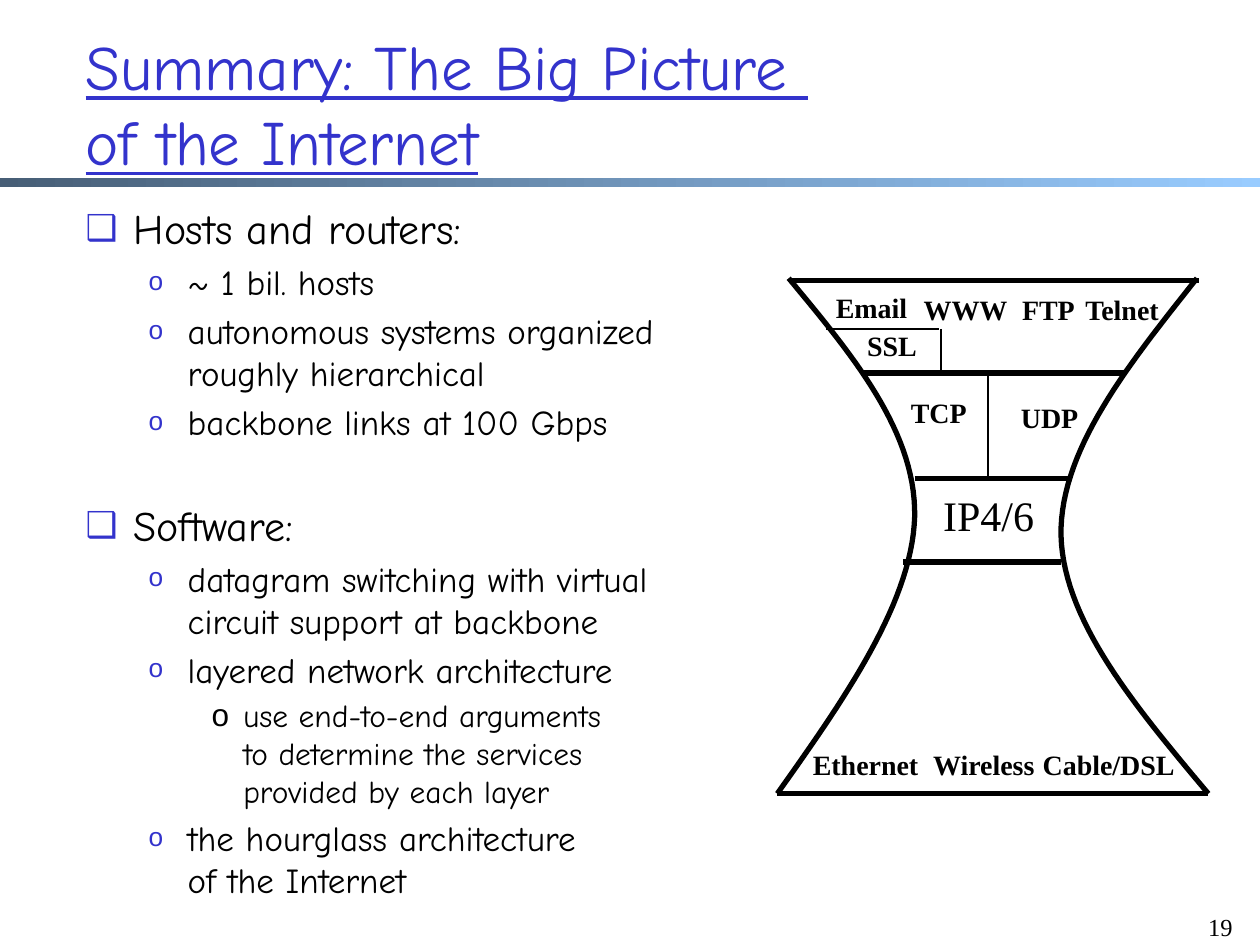
import pptx
import pptx.util
import pptx.dml.color
import pptx.enum.shapes
import pptx.enum.text
import pptx.oxml
import pptx.oxml.ns
import lxml.etree

Cm, Pt = pptx.util.Cm, pptx.util.Pt
RGB = pptx.dml.color.RGBColor
Align = pptx.enum.text.PP_ALIGN
Anchor = pptx.enum.text.MSO_ANCHOR
Shape = pptx.enum.shapes.MSO_SHAPE
qn = pptx.oxml.ns.qn

BLACK = RGB(0x00, 0x00, 0x00)
BLUE = RGB(0x33, 0x33, 0xCC)
SLATE = RGB(0x47, 0x5E, 0x76)
SKY = RGB(0x99, 0xCC, 0xFF)
HAND, ROMAN = "Comic Neue", "Times New Roman"


def write(par, text, size, font, color=BLACK, bold=False, under=False):
    """Add one run per line of text, with line breaks between."""
    for num, line in enumerate(text.split("\n")):
        if num:
            par.add_line_break()
        run = par.add_run()
        run.text = line
        run.font.size = Pt(size)
        run.font.name = font
        run.font.color.rgb = color
        run.font.bold = bold
        run.font.underline = under


def label(text, left, top, width, height, size=16, bold=True, align=Align.CENTER):
    box = slide.shapes.add_textbox(Cm(left), Cm(top), Cm(width), Cm(height))
    box.text_frame.word_wrap = False
    par = box.text_frame.paragraphs[0]
    par.alignment = align
    write(par, text, size, ROMAN, bold=bold)


deck = pptx.Presentation()
deck.slide_width, deck.slide_height = Cm(25.4), Cm(19.05)
slide = deck.slides.add_slide(deck.slide_layouts[1])

# Band under the title
band = slide.shapes.add_shape(Shape.RECTANGLE, 0, Cm(3.58), Cm(25.4), Cm(0.2))
band.shadow.inherit = False
band.line.fill.background()
band.fill.gradient()
band.fill.gradient_angle = 0
for stop, color in zip(band.fill.gradient_stops, (SLATE, SKY)):
    stop.color.rgb = color

# Title
title = slide.shapes.title
title.left, title.top, title.width, title.height = Cm(1.47), Cm(0.48), Cm(22.76), Cm(3.18)
title.text_frame.auto_size = pptx.enum.text.MSO_AUTO_SIZE.NONE
title.text_frame.vertical_anchor = Anchor.MIDDLE
par = title.text_frame.paragraphs[0]
par.alignment = Align.LEFT
write(par, "Summary: The Big Picture \nof the Internet", 36, HAND, BLUE, under=True)

# Bullet list; for each level: size, indent, hang, bullet, bullet size, colour
LEVELS = (
    (24, 0.97, 0.97, "❑", 85, BLUE),
    (20, 2.06, 0.79, "o", 75, BLUE),
    (18, 3.18, 0.64, "o", 100, BLACK),
)
ITEMS = (
    (0, "Hosts and routers:"),
    (1, "~ 1 bil. hosts"),
    (1, "autonomous systems organized \nroughly hierarchical"),
    (1, "backbone links at 100 Gbps"),
    (0, "Software:"),
    (1, "datagram switching with virtual\ncircuit support at backbone"),
    (1, "layered network architecture"),
    (2, "use end-to-end arguments \nto determine the services\nprovided by each layer"),
    (1, "the hourglass architecture \nof the Internet"),
)
body = slide.placeholders[1]
body.left, body.top, body.width, body.height = Cm(1.47), Cm(3.96), Cm(22.61), Cm(14.07)
frame = body.text_frame
frame.auto_size = pptx.enum.text.MSO_AUTO_SIZE.NONE
for num, (level, text) in enumerate(ITEMS):
    size, indent, hang, mark, scale, color = LEVELS[level]
    par = frame.add_paragraph() if num else frame.paragraphs[0]
    par.level = level
    # A later heading stands one list line lower
    gap = 28 if num and level == 0 else 0
    par.space_before = Pt(0.2 * size + gap)
    props = par._p.get_or_add_pPr()
    props.set("marL", str(Cm(indent)))
    props.set("indent", str(-Cm(hang)))
    tint = lxml.etree.SubElement(props, qn("a:buClr"))
    lxml.etree.SubElement(tint, qn("a:srgbClr")).set("val", str(color))
    lxml.etree.SubElement(props, qn("a:buSzPct")).set("val", str(scale * 1000))
    lxml.etree.SubElement(props, qn("a:buChar")).set("char", mark)
    write(par, text, size, HAND)

# Hourglass sides: two cubic curves each, drawn in short steps
STEPS = 30
SIDES = (
    ((15.9, 5.61), (17.17, 7.14), (18.47, 8.69), (18.44, 10.41),
     (18.39, 12.14), (17.04, 14.07), (15.67, 16)),
    ((24.13, 5.61), (22.76, 7.34), (21.36, 9.07), (21.39, 10.8),
     (21.44, 12.52), (22.89, 14.25), (24.36, 16)),
)
for side in SIDES:
    dots = []
    for first in (0, 3):
        knots = side[first:first + 4]
        for step in range(1, STEPS + 1):
            t = step / STEPS
            mix = ((1 - t) ** 3, 3 * t * (1 - t) ** 2, 3 * t * t * (1 - t), t ** 3)
            dots.append([Cm(sum(m * k[axis] for m, k in zip(mix, knots)))
                         for axis in (0, 1)])
    path = slide.shapes.build_freeform(Cm(side[0][0]), Cm(side[0][1]))
    path.add_line_segments(dots, close=False)
    curve = path.convert_to_shape()
    curve.shadow.inherit = False
    curve.fill.background()
    curve.line.color.rgb = BLACK
    curve.line.width = Pt(3)

# Layer borders (3 pt) and inner dividers (1 pt)
LINES = (
    (15.93, 5.66, 24.18, 5.66, 3),
    (17.37, 7.52, 22.66, 7.52, 3),
    (18.44, 9.65, 21.62, 9.65, 3),
    (18.21, 11.33, 21.39, 11.33, 3),
    (15.67, 16, 24.36, 16, 3),
    (16.66, 6.63, 18.92, 6.63, 1),
    (18.97, 6.63, 18.97, 7.49, 1),
    (19.91, 7.52, 19.91, 9.65, 1),
)
for x1, y1, x2, y2, width in LINES:
    line = slide.shapes.add_connector(
        pptx.enum.shapes.MSO_CONNECTOR.STRAIGHT, Cm(x1), Cm(y1), Cm(x2), Cm(y2))
    line.line.color.rgb = BLACK
    line.line.width = Pt(width)
    lxml.etree.SubElement(line._element.spPr, qn("a:effectLst"))

# Protocol names
NAMES = (
    ("Email", 16.59, 5.74, 1.96),
    ("WWW", 18.36, 5.77, 2.21),
    ("FTP", 20.35, 5.77, 1.57),
    ("Telnet", 21.59, 5.77, 2.06),
    ("SSL", 17.22, 6.5, 1.52),
    ("TCP", 18.11, 7.85, 1.63),
    ("UDP", 20.32, 7.95, 1.68),
    ("Ethernet", 16.13, 14.94, 2.64),
    ("Wireless", 18.54, 14.94, 2.59),
    ("Cable/DSL", 20.75, 14.94, 3.2),
)
for text, left, top, width in NAMES:
    label(text, left, top, width, 0.94)
label("IP4/6", 18.75, 9.75, 2.36, 1.3, size=24, bold=False)

# Page number
label("19", 23.83, 18.26, 1.27, 0.75, size=14, bold=False, align=Align.RIGHT)

deck.save("out.pptx")
